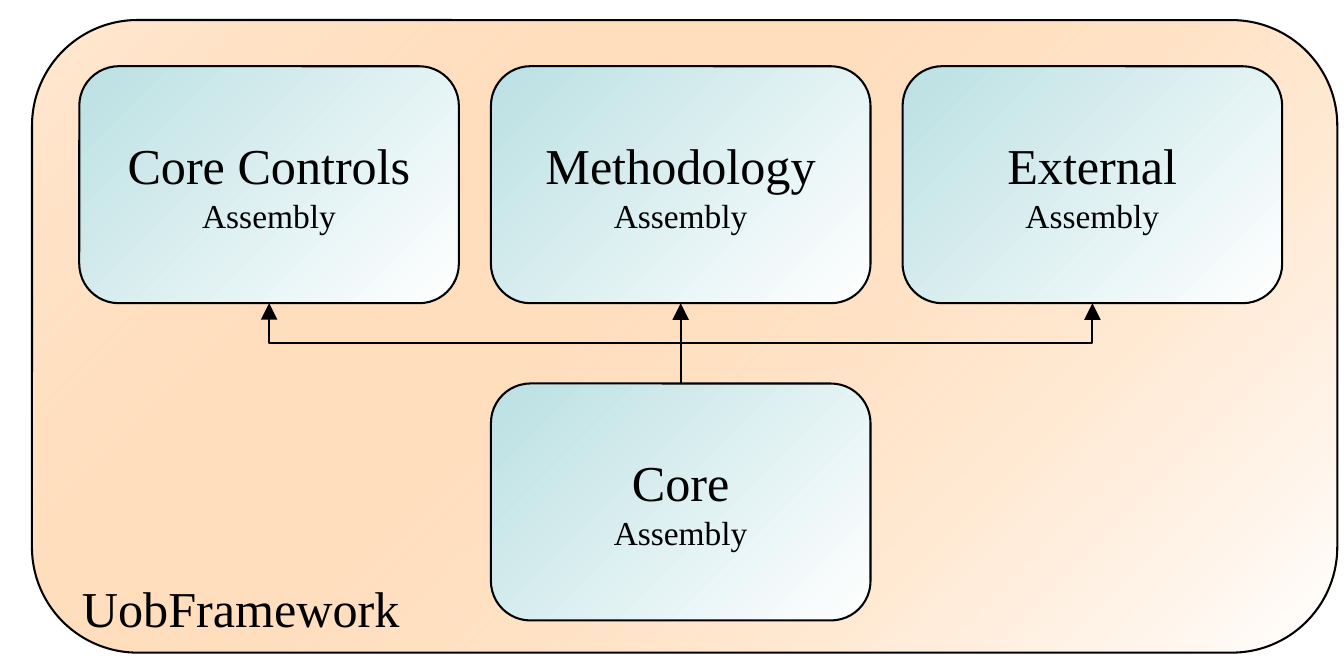
"""Build the UobFramework assembly diagram."""
from lxml import etree
from pptx import Presentation
from pptx.dml.color import RGBColor
from pptx.enum.shapes import MSO_CONNECTOR, MSO_SHAPE
from pptx.enum.text import MSO_ANCHOR, PP_ALIGN
from pptx.oxml.ns import qn
from pptx.util import Cm, Inches, Pt

ROUNDED = MSO_SHAPE.ROUNDED_RECTANGLE
STRAIGHT, ELBOW = MSO_CONNECTOR.STRAIGHT, MSO_CONNECTOR.ELBOW
CENTER, LEFT = PP_ALIGN.CENTER, PP_ALIGN.LEFT
MIDDLE = MSO_ANCHOR.MIDDLE
BLACK, WHITE, ORANGE, TEAL = "000000", "FFFFFF", "FF9933", "BBE0E3"
COLUMN, ROW = 2.05, 1.58
BOX_WIDTH, BOX_HEIGHT = 1.89, 1.18
MIDDLE_X, GRID_TOP = 3.39, 0.33
ASSEMBLIES = [("Core", 0, 1), ("Core Controls", -1, 0), ("Methodology", 0, 0), ("External", 1, 0)]


def add_panel(left, top, width, height, color):
    """Add a rounded panel with a diagonal gradient from white to the color."""
    panel = page.shapes.add_shape(ROUNDED, Inches(left), Inches(top), Inches(width), Inches(height))
    panel.shadow.inherit = False
    panel.fill.gradient()
    panel.fill.gradient_angle = 135
    for stop, shade, position in zip(panel.fill.gradient_stops, (WHITE, color), (0, 1)):
        stop.color.rgb = RGBColor.from_string(shade)
        stop.position = position
    panel.line.color.rgb = RGBColor.from_string(BLACK)
    panel.line.width = Pt(0.75)
    return panel


def write_lines(box, lines, alignment):
    """Write (text, size) lines into a box, centred vertically."""
    frame = box.text_frame
    frame.word_wrap = False
    frame.vertical_anchor = MIDDLE
    frame.text = "\n".join(text for text, size in lines)
    for para, (text, size) in zip(frame.paragraphs, lines):
        para.alignment = alignment
        for span in para.runs:
            span.font.size = Pt(size)
            span.font.name = "Times New Roman"
            span.font.color.rgb = RGBColor.from_string(BLACK)


deck = Presentation()
deck.slide_width, deck.slide_height = Cm(17), Cm(8.5)
page = deck.slides.add_slide(deck.slide_layouts[6])

framework = add_panel(0.16, 0.1, 6.5, 3.15, ORANGE)
orange_stop = framework.element.spPr.findall(".//" + qn("a:srgbClr"))[1]
etree.SubElement(orange_stop, qn("a:alpha"), val="22000")
title = page.shapes.add_textbox(Inches(0.31), Inches(2.83), Inches(1.8), Inches(0.39))
write_lines(title, [("UobFramework", 18)], LEFT)

boxes = {}
for name, column, row in ASSEMBLIES:
    box_left = MIDDLE_X + column * COLUMN - BOX_WIDTH / 2
    box = add_panel(box_left, GRID_TOP + row * ROW, BOX_WIDTH, BOX_HEIGHT, TEAL)
    write_lines(box, [(name, 18), ("Assembly", 12)], CENTER)
    boxes[name] = box

gap = Inches(ROW - BOX_HEIGHT)
core, methodology = boxes["Core"], boxes["Methodology"]
core_x = core.left + core.width // 2
middle_y = core.top - gap // 2

upward = page.shapes.add_connector(STRAIGHT, core_x, core.top, core_x, core.top - gap)
upward.begin_connect(core, 0)
upward.end_connect(methodology, 2)
arrows = [upward]
for side in (-1, 1):
    reach = side * Inches(COLUMN) // 2
    center_x = core_x + reach
    branch = page.shapes.add_connector(
        ELBOW, center_x - gap // 2, middle_y - reach, center_x + gap // 2, middle_y + reach)
    branch.element.spPr.find(qn("a:xfrm")).set("rot", str(270 * 60000))
    arrows.append(branch)

for arrow in arrows:
    arrow.line.color.rgb = RGBColor.from_string(BLACK)
    arrow.line.width = Pt(0.75)
    properties = arrow.element.spPr
    etree.SubElement(properties.find(qn("a:ln")), qn("a:tailEnd"), type="triangle")
    etree.SubElement(properties, qn("a:effectLst"))

deck.save("out.pptx")
